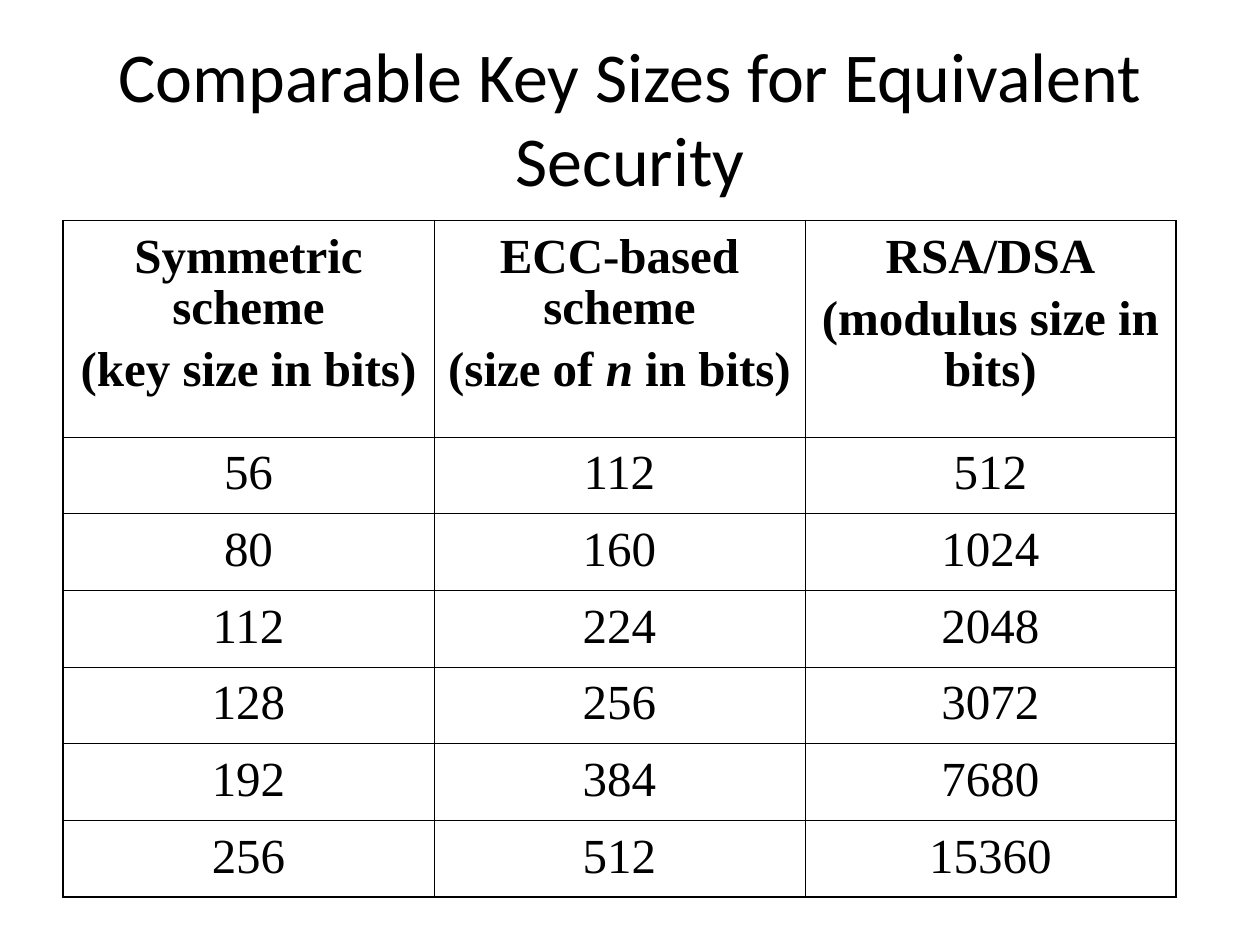
import pptx
import pptx.util
import pptx.dml.color
import pptx.enum.text
from dataclasses import dataclass
from lxml import etree

Pt = pptx.util.Pt
ALIGN = pptx.enum.text.PP_ALIGN
ANCHOR = pptx.enum.text.MSO_ANCHOR


@dataclass(frozen=True)
class Theme:
    ink: str = "000000"
    head: str = "Calibri"
    body: str = "Times New Roman"
    title: float = 40
    cell: float = 28
    thin: float = 0.45
    thick: float = 1.08


THEME = Theme()

# Each header cell holds paragraphs; a paragraph holds (text, italic) runs
HEADS = [
    [[("Symmetric scheme", False)], [("(key size in bits)", False)]],
    [[("ECC-based scheme", False)],
     [("(size of ", False), ("n", True), (" in bits)", False)]],
    [[("RSA/DSA", False)], [("(modulus size in bits)", False)]],
]
SIZES = [
    (56, 112, 512),
    (80, 160, 1024),
    (112, 224, 2048),
    (128, 256, 3072),
    (192, 384, 7680),
    (256, 512, 15360),
]


def write(frame, paras, *, font, size, bold=False, gap=0, lead=None):
    """Fill a text frame with centred paragraphs of (text, italic) runs."""
    frame.word_wrap = True
    for i, runs in enumerate(paras):
        para = frame.paragraphs[0] if i == 0 else frame.add_paragraph()
        para.alignment = ALIGN.CENTER
        para.space_before = Pt(gap if i else 0)
        para.space_after = Pt(gap)
        if lead:
            para.line_spacing = lead
        for text, italic in runs:
            run = para.add_run()
            run.text = text
            run.font.name = font
            run.font.size = Pt(size)
            run.font.bold = bold
            run.font.italic = italic
            run.font.color.rgb = pptx.dml.color.RGBColor.from_string(THEME.ink)


def border(cell, widths):
    """Draw the cell edges; widths maps L, R, T, B to points."""
    props = cell._tc.get_or_add_tcPr()
    ns = "{http://schemas.openxmlformats.org/drawingml/2006/main}"
    for i, (side, width) in enumerate(widths.items()):
        line = etree.Element(f"{ns}ln{side}", w=str(int(Pt(width))))
        fill = etree.SubElement(line, f"{ns}solidFill")
        etree.SubElement(fill, f"{ns}srgbClr", val=THEME.ink)
        props.insert(i, line)


def heading(slide, x, y, w, h):
    title = slide.shapes.title
    title.left, title.top, title.width, title.height = map(Pt, (x, y, w, h))
    frame = title.text_frame
    frame.auto_size = pptx.enum.text.MSO_AUTO_SIZE.NONE
    frame.vertical_anchor = ANCHOR.MIDDLE
    write(frame, [[("Comparable Key Sizes for Equivalent Security", False)]],
          font=THEME.head, size=THEME.title)


def grid(slide, x, y, w, h, top):
    """Table of key sizes with a header row of height top."""
    rows = HEADS, *([[[(str(n), False)]] for n in row] for row in SIZES)
    last, end = len(rows) - 1, len(HEADS) - 1
    table = slide.shapes.add_table(
        last + 1, end + 1, Pt(x), Pt(y), Pt(w), Pt(h)).table
    table.first_row = table.horz_banding = False
    for col in table.columns:
        col.width = Pt(w / (end + 1))
    for r, row in enumerate(rows):
        table.rows[r].height = Pt((h - top) / last if r else top)
        for c, paras in enumerate(row):
            cell = table.cell(r, c)
            cell.fill.background()
            cell.vertical_anchor = ANCHOR.TOP
            cell.margin_left = cell.margin_right = Pt(7.2)
            cell.margin_top, cell.margin_bottom = Pt(6.6), Pt(3.6)
            write(cell.text_frame, paras, font=THEME.body, size=THEME.cell,
                  bold=r == 0, gap=3, lead=0.95)
            # Thick outer frame, thin inner lines
            outer = {"L": c == 0, "R": c == end, "T": r == 0, "B": r == last}
            border(cell, {side: THEME.thick if out else THEME.thin
                          for side, out in outer.items()})


def main():
    deck = pptx.Presentation()
    deck.slide_width, deck.slide_height = Pt(720), Pt(540)
    slide = deck.slides.add_slide(deck.slide_layouts[5])
    heading(slide, 36, 21.6, 648, 90)
    grid(slide, 36, 126, 636, 386.6, top=123.8)
    deck.save("out.pptx")


if __name__ == "__main__":
    main()
